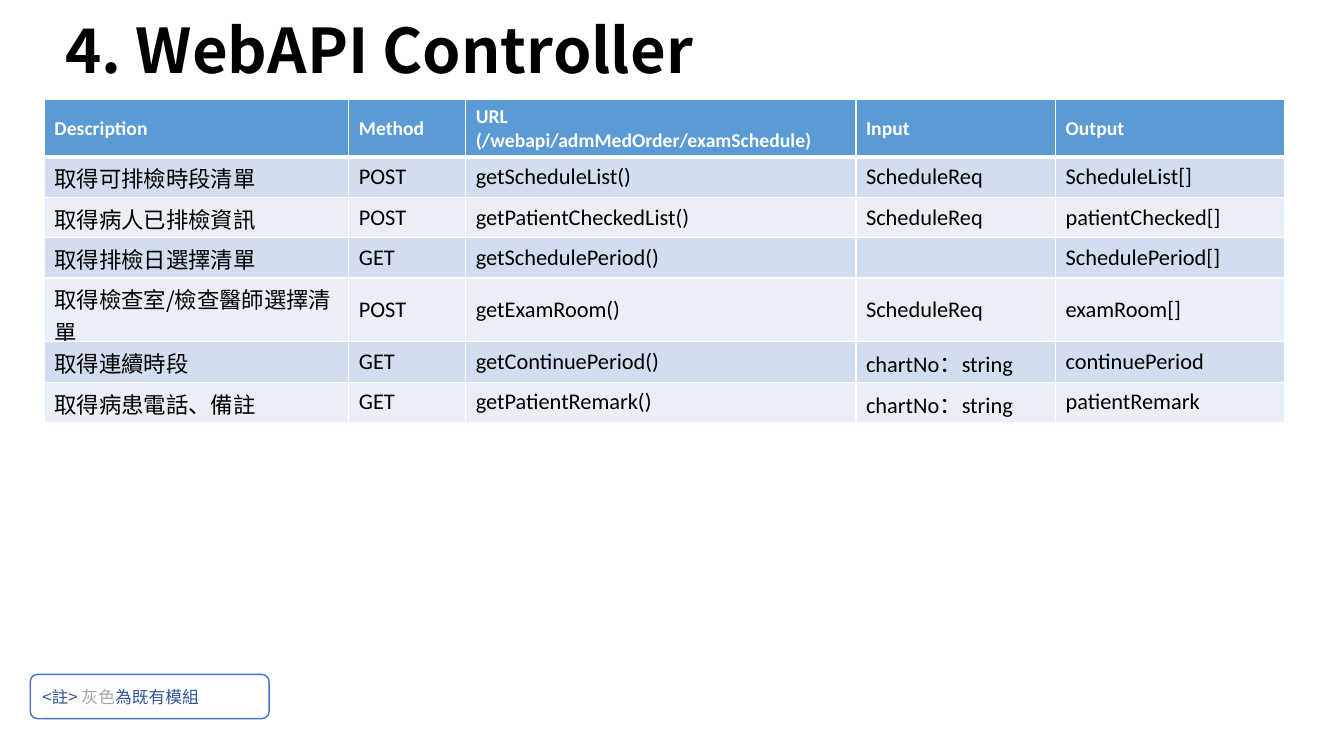
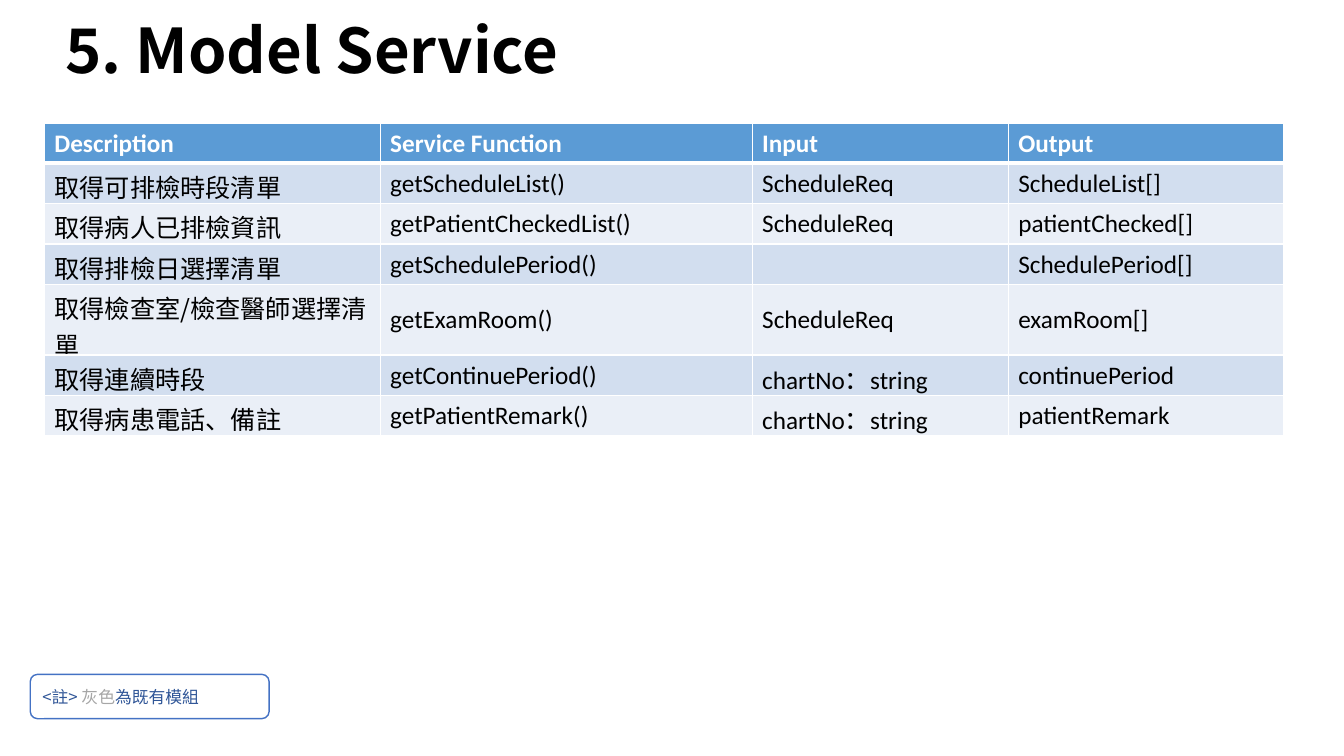
from lxml import etree
from pptx import Presentation
from pptx.dml.color import RGBColor
from pptx.enum.shapes import MSO_SHAPE
from pptx.enum.text import MSO_ANCHOR, PP_ALIGN
from pptx.oxml.ns import qn
from pptx.util import Inches, Pt

WHITE = RGBColor(0xFF, 0xFF, 0xFF)
BLACK = RGBColor(0x00, 0x00, 0x00)
HEADER_BLUE = RGBColor(0x5B, 0x9B, 0xD5)
BANDS = (RGBColor(0xD2, 0xDE, 0xEF), RGBColor(0xEA, 0xEF, 0xF7))
NOTE_LINE = RGBColor(0x44, 0x72, 0xC4)
NOTE_TEXT = RGBColor(0x2F, 0x55, 0x97)
NOTE_GREY = RGBColor(0xA6, 0xA6, 0xA6)

LATIN = "Calibri"
CJK = "Noto Sans CJK SC"

TITLE_BOX = (0.55, 0.14, 12.17, 0.78)
NOTE_BOX = (0.3, 6.69, 2.37, 0.44)
TABLE_LEFT = 0.44
ROW_HEIGHT = 0.4

# Description, method, function, input, output
SERVICES = [
    ("取得可排檢時段清單", "POST", "getScheduleList()", "ScheduleReq", "ScheduleList[]"),
    ("取得病人已排檢資訊", "POST", "getPatientCheckedList()", "ScheduleReq", "patientChecked[]"),
    ("取得排檢日選擇清單", "GET", "getSchedulePeriod()", "", "SchedulePeriod[]"),
    ("取得檢查室/檢查醫師選擇清單", "POST", "getExamRoom()", "ScheduleReq", "examRoom[]"),
    ("取得連續時段", "GET", "getContinuePeriod()", "chartNo：string", "continuePeriod"),
    ("取得病患電話、備註", "GET", "getPatientRemark()", "chartNo：string", "patientRemark"),
]


def style_paragraph(paragraph, size, color, face=CJK, bold=False):
    """Set the paragraph's font, with the CJK face for East Asian text."""
    font = paragraph.font
    font.name, font.size, font.bold = face, Pt(size), bold
    font.color.rgb = color
    defaults = paragraph._p.pPr.find(qn("a:defRPr"))
    etree.SubElement(defaults, qn("a:ea")).set("typeface", CJK)


def add_title(slide, text, box):
    frame = slide.shapes.add_textbox(*map(Inches, box)).text_frame
    frame.word_wrap = True
    frame.vertical_anchor = MSO_ANCHOR.MIDDLE
    title = frame.paragraphs[0]
    title.text = text
    title.line_spacing = 0.9
    style_paragraph(title, 44, BLACK, bold=True)


def add_note(slide, box):
    note = slide.shapes.add_shape(MSO_SHAPE.ROUNDED_RECTANGLE, *map(Inches, box))
    note.shadow.inherit = False
    note.fill.solid()
    note.fill.fore_color.rgb = WHITE
    note.line.color.rgb = NOTE_LINE
    note.line.width = Pt(1)
    frame = note.text_frame
    frame.word_wrap = True
    frame.vertical_anchor = MSO_ANCHOR.MIDDLE
    remark = frame.paragraphs[0]
    remark.alignment = PP_ALIGN.LEFT
    style_paragraph(remark, 12, NOTE_TEXT)
    for text, color in (("<註> ", NOTE_TEXT), ("灰色", NOTE_GREY), ("為既有模組", NOTE_TEXT)):
        run = remark.add_run()
        run.text = text
        run.font.color.rgb = color


def add_borders(cell, top, bottom):
    """Draw white cell borders; top and bottom widths are in points."""
    properties = cell._tc.get_or_add_tcPr()
    for side, width in (("L", 1), ("R", 1), ("T", top), ("B", bottom)):
        border = etree.SubElement(properties, qn(f"a:ln{side}"), w=str(Pt(width)))
        fill = etree.SubElement(border, qn("a:solidFill"))
        etree.SubElement(fill, qn("a:srgbClr"), val=str(WHITE))


def add_service_table(slide, top, widths, headings, rows, header_size, body_size):
    grid = [headings, *rows]
    table = slide.shapes.add_table(
        len(grid), len(widths), Inches(TABLE_LEFT), Inches(top),
        Inches(sum(widths)), Inches(ROW_HEIGHT * len(grid))).table
    table.horz_banding = False
    for column, width in zip(table.columns, widths):
        column.width = Inches(width)
    for r, texts in enumerate(grid):
        table.rows[r].height = Inches(ROW_HEIGHT)
        is_header = r == 0
        for c, text in enumerate(texts):
            cell = table.cell(r, c)
            add_borders(cell, top=3 if r == 1 else 1, bottom=3 if is_header else 1)
            cell.fill.solid()
            cell.fill.fore_color.rgb = HEADER_BLUE if is_header else BANDS[(r - 1) % 2]
            cell.vertical_anchor = MSO_ANCHOR.MIDDLE
            cell.text = text
            entry = cell.text_frame.paragraphs[0]
            if is_header:
                style_paragraph(entry, header_size, WHITE, LATIN, bold=True)
            else:
                style_paragraph(entry, body_size, BLACK, CJK if c == 0 else LATIN)


def add_service_slide(deck, title, **table):
    slide = deck.slides.add_slide(deck.slide_layouts[6])
    add_title(slide, title, TITLE_BOX)
    add_service_table(slide, **table)
    add_note(slide, NOTE_BOX)


def main():
    deck = Presentation()
    deck.slide_width, deck.slide_height = Inches(13.33), Inches(7.5)
    add_service_slide(
        deck, "4. WebAPI Controller", top=0.99,
        widths=(3.02, 1.16, 3.87, 1.98, 2.27),
        headings=("Description", "Method", "URL (/webapi/admMedOrder/examSchedule)",
                  "Input", "Output"),
        rows=SERVICES, header_size=14, body_size=16)
    add_service_slide(
        deck, "5. Model Service", top=1.22,
        widths=(3.33, 3.69, 2.54, 2.73),
        headings=("Description", "Service Function", "Input", "Output"),
        rows=[(description, *rest) for description, _, *rest in SERVICES],
        header_size=18, body_size=18)
    deck.save("out.pptx")


if __name__ == "__main__":
    main()
